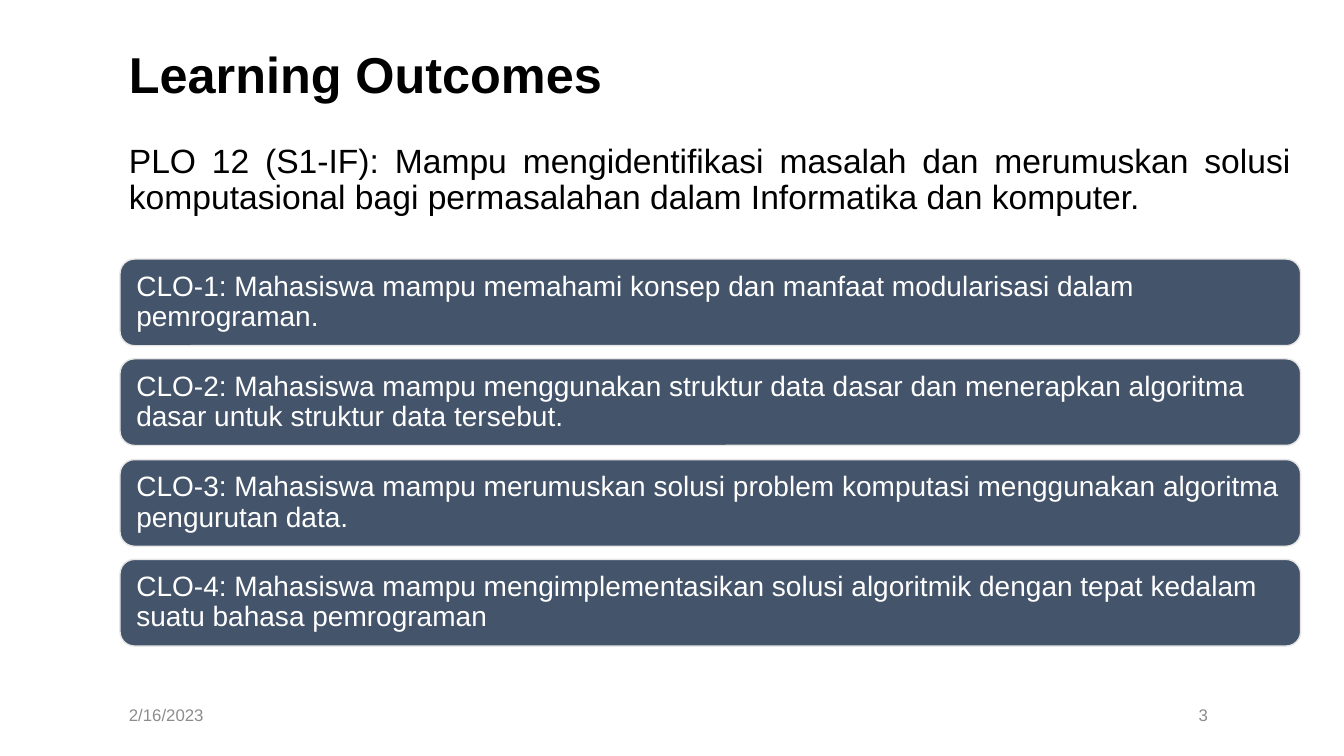
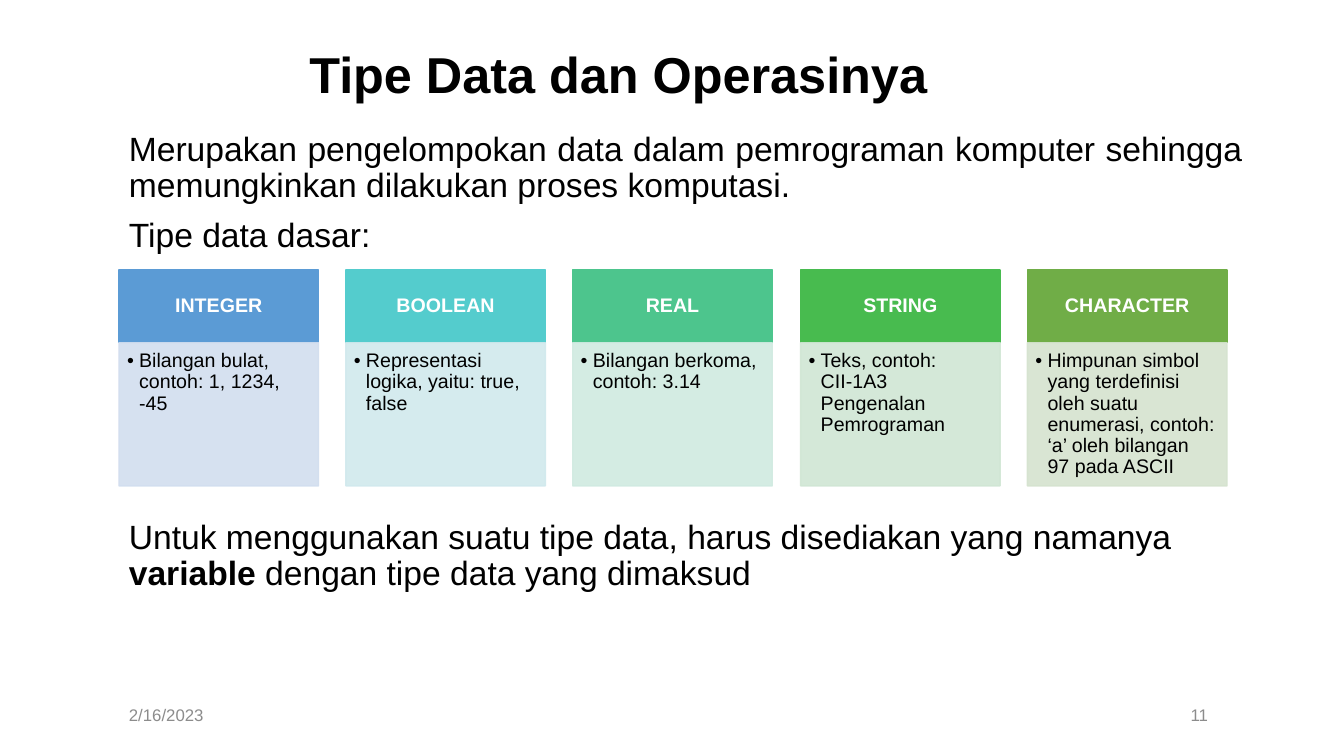
from dataclasses import dataclass

from lxml.etree import SubElement
from pptx import Presentation
from pptx.dml.color import RGBColor
from pptx.enum.shapes import MSO_SHAPE as Shape
from pptx.enum.text import MSO_ANCHOR as Anchor, PP_ALIGN as Align
from pptx.oxml.ns import qn
from pptx.util import Pt

SCALE = 9144  # EMU in one px; 100 px make an inch


@dataclass(frozen=True)
class Theme:
    font: str = "Arial"
    ink: str = "000000"
    light: str = "FFFFFF"
    muted: str = "8C8C8C"
    outcome: str = "44546A"
    outcome_edge: str = "E7E6E6"
    title_size: int = 36
    body_size: int = 24
    outcome_size: int = 20
    card_size: int = 14
    footer_size: int = 12
    line_spacing: float = 0.9
    paragraph_gap: int = 10
    card_opacity: int = 90


THEME = Theme()
TITLE_BOX = (118, 40, 991, 74)
DATE_BOX = (118, 690, 151, 40)
NUMBER_BOX = (275, 690, 933, 40)
DATE = "2/16/2023"

OUTCOMES = [
    "CLO-1: Mahasiswa mampu memahami konsep dan manfaat modularisasi dalam pemrograman.",
    "CLO-2: Mahasiswa mampu menggunakan struktur data dasar dan menerapkan algoritma "
    "dasar untuk struktur data tersebut.",
    "CLO-3: Mahasiswa mampu merumuskan solusi problem komputasi menggunakan algoritma "
    "pengurutan data.",
    "CLO-4: Mahasiswa mampu mengimplementasikan solusi algoritmik dengan tepat kedalam "
    "suatu bahasa pemrograman",
]

# Name, description, header colour, body colour
DATA_TYPES = [
    ("INTEGER", "Bilangan bulat, contoh: 1, 1234, -45", "5B9BD5", "D2DEEF"),
    ("BOOLEAN", "Representasi logika, yaitu: true, false", "54CCCD", "D1E9ED"),
    ("REAL", "Bilangan berkoma, contoh: 3.14", "4DC58D", "D0EAE1"),
    ("STRING", "Teks, contoh: CII-1A3 Pengenalan Pemrograman", "48BB4F", "D0E6D4"),
    ("CHARACTER", "Himpunan simbol yang terdefinisi oleh suatu enumerasi, contoh: "
     "‘a’ oleh bilangan 97 pada ASCII", "70AD47", "D5E3CF"),
]


def px(length):
    return round(length * SCALE)


def spread(start, extent, size, count):
    """Starts of equal items that fill an extent with equal gaps."""
    pitch = (extent - size) / (count - 1)
    return [round(start + pitch * i) for i in range(count)]


def style(paragraph, size, color=THEME.ink, bold=False, align=Align.LEFT):
    paragraph.alignment = align
    paragraph.line_spacing = THEME.line_spacing
    font = paragraph.font
    font.name, font.size = THEME.font, Pt(size)
    font.color.rgb = RGBColor.from_string(color)
    if bold:
        font.bold = True


def set_frame(frame, anchor, insets=(10, 5, 10, 5)):
    frame.word_wrap = True
    frame.vertical_anchor = anchor
    (frame.margin_left, frame.margin_top,
     frame.margin_right, frame.margin_bottom) = map(px, insets)


def add_text(slide, box, text, size, anchor=Anchor.TOP, **look):
    frame = slide.shapes.add_textbox(*map(px, box)).text_frame
    set_frame(frame, anchor)
    first = frame.paragraphs[0]
    first.text = text
    style(first, size, **look)
    return frame


def add_panel(slide, kind, box, fill, edge, text, insets, anchor, size, **look):
    panel = slide.shapes.add_shape(kind, *map(px, box))
    panel.shadow.inherit = False
    panel.fill.solid()
    panel.fill.fore_color.rgb = RGBColor.from_string(fill)
    panel.line.color.rgb = RGBColor.from_string(edge)
    panel.line.width = Pt(1)
    set_frame(panel.text_frame, anchor, insets)
    label = panel.text_frame.paragraphs[0]
    label.text = text
    style(label, size, **look)
    return panel


def set_opacity(panel, percent):
    for color in panel._element.spPr.iter(qn("a:srgbClr")):
        SubElement(color, qn("a:alpha"), val=str(percent * 1000))


def add_bullet(paragraph, indent):
    props = paragraph._p.get_or_add_pPr()
    props.set("marL", str(px(indent)))
    props.set("indent", str(-px(indent)))
    # Bullet elements come before the default run properties
    defaults = props.find(qn("a:defRPr"))
    for tag, key, value in (("a:buFont", "typeface", THEME.font),
                            ("a:buChar", "char", "•")):
        mark = SubElement(props, qn(tag), {key: value})
        defaults.addprevious(mark)


def start_slide(deck, title, number, align=Align.LEFT):
    slide = deck.slides.add_slide(deck.slide_layouts[6])
    footer = dict(size=THEME.footer_size, anchor=Anchor.MIDDLE, color=THEME.muted)
    add_text(slide, DATE_BOX, DATE, **footer)
    add_text(slide, NUMBER_BOX, number, align=Align.RIGHT, **footer)
    add_text(slide, TITLE_BOX, title, THEME.title_size, Anchor.MIDDLE,
             bold=True, align=align)
    return slide


def outcome_list(slide, box):
    left, top, width, height = box
    bar_height = 86
    for text, y in zip(OUTCOMES, spread(top, height, bar_height, len(OUTCOMES))):
        add_panel(slide, Shape.ROUNDED_RECTANGLE, (left, y, width, bar_height),
                  THEME.outcome, THEME.outcome_edge, text, (12, 12, 12, 12),
                  Anchor.MIDDLE, THEME.outcome_size, color=THEME.light)


def type_card(slide, box, name, description, header_color, body_color):
    left, top, width, height = box
    header_height = 72
    add_panel(slide, Shape.RECTANGLE, (left, top, width, header_height),
              header_color, header_color, name, (11, 6, 11, 6), Anchor.MIDDLE,
              THEME.card_size, color=THEME.light, bold=True, align=Align.CENTER)
    body = add_panel(slide, Shape.RECTANGLE,
                     (left, top + header_height, width, height - header_height),
                     body_color, body_color, description, (8, 8, 11, 12),
                     Anchor.TOP, THEME.card_size)
    set_opacity(body, THEME.card_opacity)
    add_bullet(body.text_frame.paragraphs[0], 12)


def type_cards(slide, box):
    left, top, width, height = box
    card_width = 198
    for data_type, x in zip(DATA_TYPES, spread(left, width, card_width, len(DATA_TYPES))):
        type_card(slide, (x, top, card_width, height), *data_type)


def outcomes_slide(deck):
    slide = start_slide(deck, "Learning Outcomes", "3")
    add_text(slide, (118, 138, 1172, 90),
             "PLO 12 (S1-IF): Mampu mengidentifikasi masalah dan merumuskan solusi "
             "komputasional bagi permasalahan dalam Informatika dan komputer.",
             THEME.body_size, align=Align.JUSTIFY)
    outcome_list(slide, (119, 257, 1171, 384))


def data_types_slide(deck):
    slide = start_slide(deck, "Tipe Data dan Operasinya", "11", Align.CENTER)

    # Definition
    intro = add_text(slide, (118, 126, 1124, 135),
                     "Merupakan pengelompokan data dalam pemrograman komputer sehingga "
                     "memungkinkan dilakukan proses komputasi.",
                     THEME.body_size, align=Align.JUSTIFY)
    lead_in = intro.add_paragraph()
    lead_in.text = "Tipe data dasar:"
    style(lead_in, THEME.body_size)
    lead_in.space_before = Pt(THEME.paragraph_gap)

    type_cards(slide, (118, 268, 1099, 214))

    # Closing remark with one bold word
    closing = add_text(slide, (118, 511, 1124, 90),
                       "Untuk menggunakan suatu tipe data, harus disediakan yang namanya ",
                       THEME.body_size).paragraphs[0]
    keyword = closing.add_run()
    keyword.text = "variable "
    keyword.font.bold = True
    closing.add_run().text = "dengan tipe data yang dimaksud"


def main():
    deck = Presentation()
    deck.slide_width, deck.slide_height = px(1333), px(750)
    outcomes_slide(deck)
    data_types_slide(deck)
    deck.save("out.pptx")


if __name__ == "__main__":
    main()
